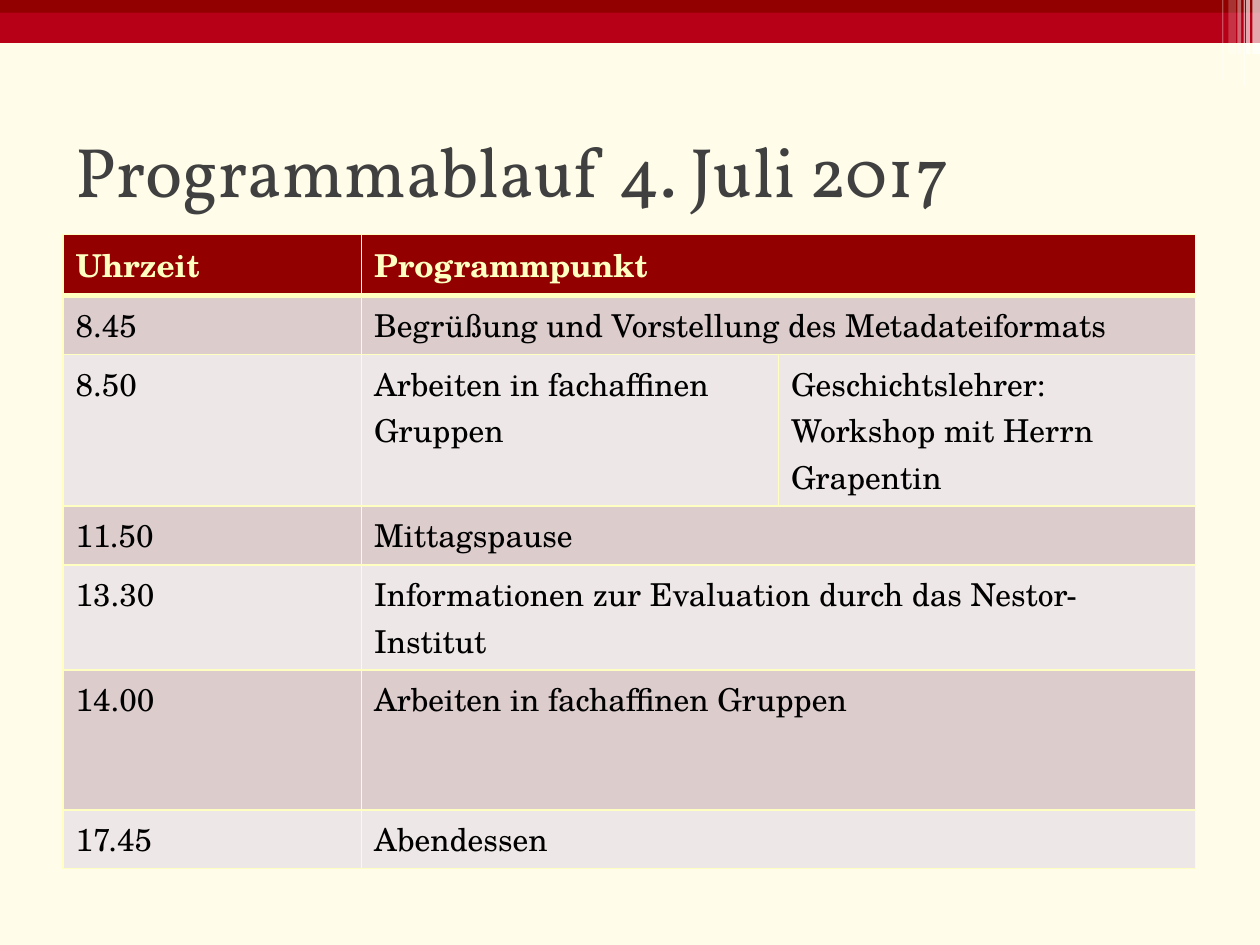
from lxml import etree
from pptx import Presentation
from pptx.dml.color import RGBColor
from pptx.enum.shapes import MSO_SHAPE
from pptx.enum.text import MSO_ANCHOR, PP_ALIGN
from pptx.oxml.ns import qn
from pptx.util import Inches, Pt

RECT = MSO_SHAPE.RECTANGLE
MIDDLE = MSO_ANCHOR.MIDDLE
LEFT = PP_ALIGN.LEFT

PAPER = RGBColor(0xFF, 0xFD, 0xE9)
RED = RGBColor(0xB7, 0x00, 0x17)
DARK = RGBColor(0x92, 0x00, 0x00)
WHITE = RGBColor(0xFF, 0xFF, 0xFF)
GREY = RGBColor(0x40, 0x40, 0x40)
BLACK = RGBColor(0x00, 0x00, 0x00)
CREAM = RGBColor(0xFF, 0xFF, 0xC1)
ROSE = RGBColor(0xDC, 0xCC, 0xCC)
PALE = RGBColor(0xEE, 0xE7, 0xE7)

STRIPES = [
    (9.89, 0.03, 0.43, 65),
    (9.94, 0.06, 0.43, 65),
    (9.7, 0.01, 0.64, 30),
    (9.87, 0.01, 0.68, 60),
    (9.75, 0.06, 0.43, 20),
    (9.82, 0.03, 0.43, 40),
]
COLS = [2.37, 3.31, 3.31]
ROWS = [
    (0.41, ["Uhrzeit", "Programmpunkt"]),
    (0.41, ["8.45", "Begrüßung und Vorstellung des Metadateiformats"]),
    (0.41, ["8.50", "Arbeiten in fachaffinen Gruppen",
            "Geschichtslehrer:\nWorkshop mit Herrn Grapentin"]),
    (0.41, ["11.50", "Mittagspause"]),
    (0.41, ["13.30", "Informationen zur Evaluation durch das Nestor-Institut"]),
    (1.11, ["14.00", "Arbeiten in fachaffinen Gruppen"]),
    (0.41, ["17.45", "Abendessen"]),
]


class Deck:
    """Holds the style and the current slide."""

    head = "Vollkorn"
    body = "TeX Gyre Schola"

    def __init__(self):
        self.prs = Presentation()
        self.prs.slide_width = Inches(10)
        self.prs.slide_height = Inches(7.5)
        self.slide = self.prs.slides.add_slide(self.prs.slide_layouts[5])
        back = self.slide.background.fill
        back.solid()
        back.fore_color.rgb = PAPER

    def bar(self, left, width, height, color, alpha=100):
        shape = self.slide.shapes.add_shape(
            RECT, Inches(left), 0, Inches(width), Inches(height))
        shape.shadow.inherit = False
        shape.line.fill.background()
        shape.fill.solid()
        shape.fill.fore_color.rgb = color
        if alpha < 100:
            tone = shape._element.spPr.find(".//" + qn("a:srgbClr"))
            etree.SubElement(tone, qn("a:alpha"), val=str(alpha * 1000))

    def text(self, frame, words, font, size, color, bold=False):
        for i, line in enumerate(words.split("\n")):
            para = frame.add_paragraph() if i else frame.paragraphs[0]
            para.alignment = LEFT
            run = para.add_run()
            run.text = line
            run.font.name = font
            run.font.size = Pt(size)
            run.font.bold = bold
            run.font.color.rgb = color

    def title(self, words):
        shape = self.slide.shapes.title
        shape.left, shape.top = Inches(0.5), Inches(0.76)
        shape.width, shape.height = Inches(9), Inches(1.17)
        shape.text_frame.vertical_anchor = MIDDLE
        self.text(shape.text_frame, words, self.head, 40, GREY)

    def edge(self, cell, top, bottom):
        props = cell._tc.get_or_add_tcPr()
        sides = [("L", 1), ("R", 1), ("T", top), ("B", bottom)]
        for i, (side, width) in enumerate(sides):
            line = etree.Element(qn("a:ln" + side), w=str(Pt(width)))
            fill = etree.SubElement(line, qn("a:solidFill"))
            etree.SubElement(fill, qn("a:srgbClr"), val=str(CREAM))
            props.insert(i, line)

    def table(self, left, top, cols, rows):
        height = sum(size for size, _ in rows)
        grid = self.slide.shapes.add_table(
            len(rows), len(cols), Inches(left), Inches(top),
            Inches(sum(cols)), Inches(height)).table
        for col, width in zip(grid.columns, cols):
            col.width = Inches(width)
        for r, (size, texts) in enumerate(rows):
            grid.rows[r].height = Inches(size)
            shade = DARK if r == 0 else ROSE if r % 2 else PALE
            for c in range(len(cols)):
                cell = grid.cell(r, c)
                cell.fill.solid()
                cell.fill.fore_color.rgb = shade
                self.edge(cell, 3 if r == 1 else 1, 3 if r == 0 else 1)
            if len(texts) < len(cols):
                grid.cell(r, 1).merge(grid.cell(r, len(cols) - 1))
            for c, words in enumerate(texts):
                self.text(grid.cell(r, c).text_frame, words, self.body, 18,
                          BLACK if r else CREAM, r == 0)


def main():
    deck = Deck()
    deck.bar(0, 10, 0.34, RED)
    deck.bar(0, 10, 0.1, DARK)
    for left, width, height, alpha in STRIPES:
        deck.bar(left, width, height, WHITE, alpha)
    deck.title("Programmablauf 4. Juli 2017")
    deck.table(0.5, 1.86, COLS, ROWS)
    deck.prs.save("out.pptx")


if __name__ == "__main__":
    main()
